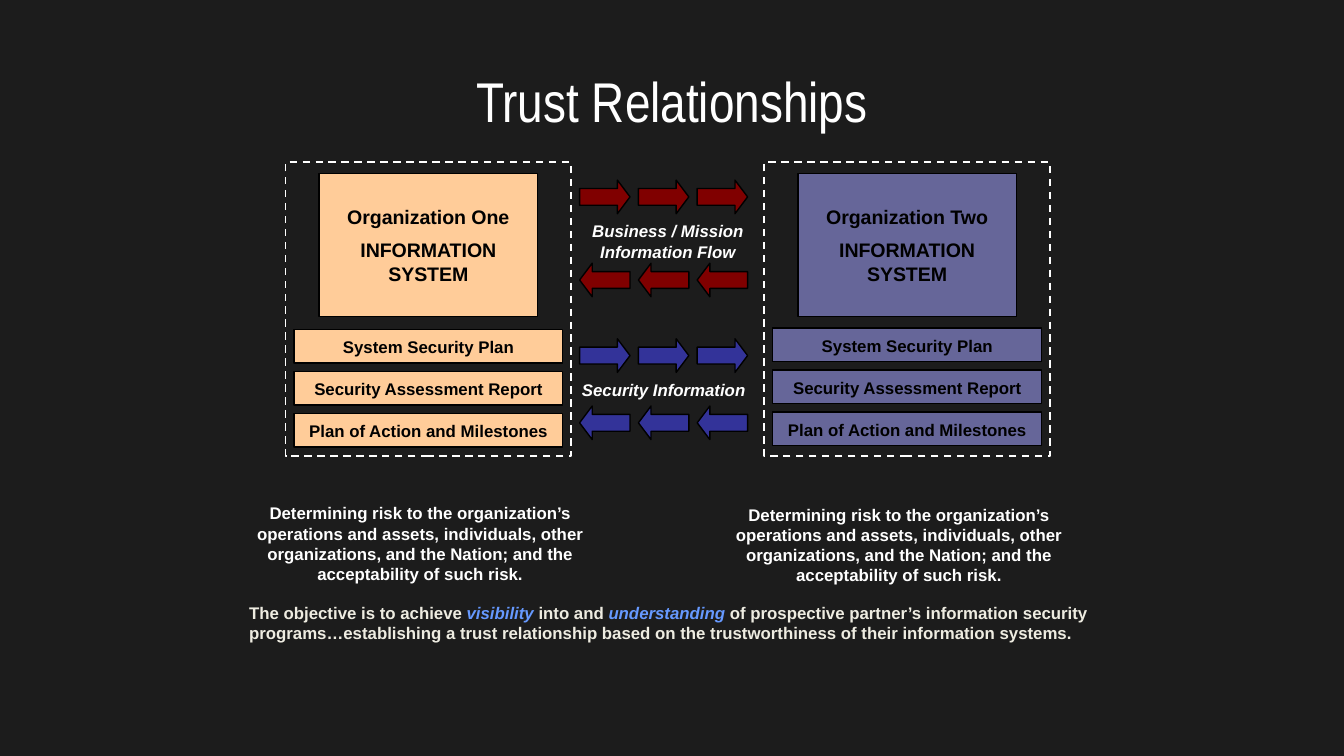
"""Build the Trust Relationships slide."""
from pptx import Presentation
from pptx.dml.color import RGBColor
from pptx.enum.dml import MSO_LINE
from pptx.enum.shapes import MSO_SHAPE
from pptx.enum.text import MSO_ANCHOR, PP_ALIGN
from pptx.util import Pt

RECT, ARROW = MSO_SHAPE.RECTANGLE, MSO_SHAPE.RIGHT_ARROW
DASH = MSO_LINE.DASH
TOP, MIDDLE = MSO_ANCHOR.TOP, MSO_ANCHOR.MIDDLE
LEFT, CENTER = PP_ALIGN.LEFT, PP_ALIGN.CENTER

DARK = RGBColor(0x1C, 0x1C, 0x1C)
WHITE = RGBColor(0xFF, 0xFF, 0xFF)
BLACK = RGBColor(0, 0, 0)
CREAM = RGBColor(0xEE, 0xEC, 0xE1)
SKY = RGBColor(0x66, 0x99, 0xFF)
PEACH = RGBColor(0xFF, 0xCC, 0x99)
SLATE = RGBColor(0x66, 0x66, 0x99)
RED = RGBColor(0x80, 0, 0)
BLUE = RGBColor(0x33, 0x33, 0x99)

TITLE = "Trust Relationships"
RISK = ("Determining risk to the organization’s operations and assets, individuals, "
        "other organizations, and the Nation; and the acceptability of such risk.")
PLANS = ["System Security Plan", "Security Assessment Report",
         "Plan of Action and Milestones"]
# name, fill, left, top of plans, top of risk text
ORGS = [("Organization One", PEACH, 153, 176.4, 265.5),
        ("Organization Two", SLATE, 409.5, 175.7, 266.2)]
# lines, fill, label box, tops of arrows going right and left
FLOWS = [(["Business / Mission", "Information Flow"], RED,
          (306, 114.5, 103.5, 28.8), (96.5, 141)),
         (["Security Information"], BLUE,
          (301.5, 199.5, 108, 18), (181.5, 217.5))]
GOAL = [("The objective is to achieve ", False), ("visibility", True),
        (" into and ", False), ("understanding", True),
        (" of prospective partner’s information security programs…establishing a trust "
         "relationship based on the trustworthiness of their information systems.", False)]

BODY = {"name": "Arial", "size": Pt(9), "bold": True}
HEAD = {"name": "Arial Narrow", "size": Pt(30), "bold": False}


def write(shape, paras, color, style=BODY, align=CENTER, anchor=TOP, top=4, gap=0):
    frame = shape.text_frame
    form = {"word_wrap": True, "vertical_anchor": anchor,
            "margin_left": Pt(6.75), "margin_right": Pt(6.75),
            "margin_top": Pt(top), "margin_bottom": Pt(4)}
    for key, value in form.items():
        setattr(frame, key, value)
    for i, runs in enumerate(paras):
        para = frame.add_paragraph() if i else frame.paragraphs[0]
        para.alignment = align
        if i and gap:
            para.space_before = Pt(gap)
        for text, extra in runs:
            run = para.add_run()
            run.text = text
            look = {**style, **extra}
            run.font.color.rgb = look.pop("color", color)
            for key, value in look.items():
                setattr(run.font, key, value)


def plain(*lines):
    return [[(line, {})] for line in lines]


def label(slide, box, paras, color, **form):
    write(slide.shapes.add_textbox(*map(Pt, box)), paras, color, **form)


def block(slide, kind, box, fill, line=BLACK, width=0.75):
    shape = slide.shapes.add_shape(kind, *map(Pt, box))
    shape.shadow.inherit = False
    if fill is None:
        shape.fill.background()
    else:
        shape.fill.solid()
        shape.fill.fore_color.rgb = fill
    shape.line.color.rgb = line
    shape.line.width = Pt(width)
    return shape


def add_org(slide, name, fill, left, top, low):
    frame = block(slide, RECT, (left, 87, 153, 157.5), None, WHITE, 1)
    frame.line.dash_style = DASH
    box = block(slide, RECT, (left + 18, 93, 117, 76.5), fill)
    write(box, plain(name, "INFORMATION SYSTEM"), BLACK,
          {**BODY, "size": Pt(10.5)}, top=16.6, gap=5.5)
    for i, plan in enumerate(PLANS):
        bar = block(slide, RECT, (left + 4.5, top + 22.5 * i, 144, 18), fill)
        write(bar, plain(plan), BLACK)
    label(slide, (left - 22.5, low, 189, 51), plain(RISK), WHITE)


def add_flow(slide, lines, fill, box, tops):
    for top, turn in zip(tops, (0, 180)):
        for i in range(3):
            arrow = block(slide, ARROW, (310.5 + 31.5 * i, top, 27, 18), fill)
            arrow.adjustments[0] = 0.5
            arrow.adjustments[1] = 0.375
            arrow.rotation = turn
    label(slide, box, plain(*lines), WHITE, style={**BODY, "italic": True})


def main():
    deck = Presentation()
    deck.slide_width, deck.slide_height = Pt(720), Pt(405)
    slide = deck.slides.add_slide(deck.slide_layouts[6])
    slide.background.fill.solid()
    slide.background.fill.fore_color.rgb = DARK
    label(slide, (130.5, 27, 459, 53), plain(TITLE), WHITE, style=HEAD, anchor=MIDDLE)
    for org in ORGS:
        add_org(slide, *org)
    for flow in FLOWS:
        add_flow(slide, *flow)
    goal = [(text, {"italic": key, "color": SKY if key else CREAM}) for text, key in GOAL]
    label(slide, (126.75, 319, 465, 28.8), [goal], CREAM, align=LEFT)
    deck.save("out.pptx")


if __name__ == "__main__":
    main()
